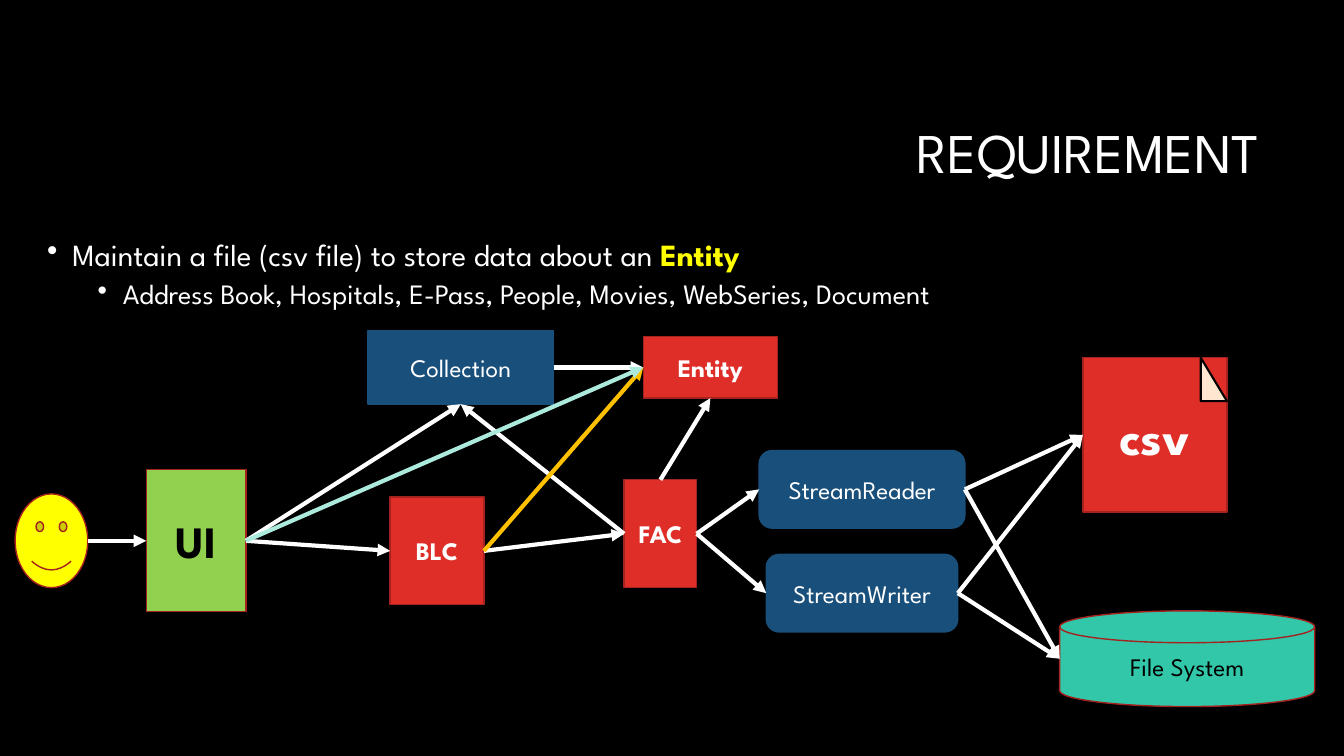
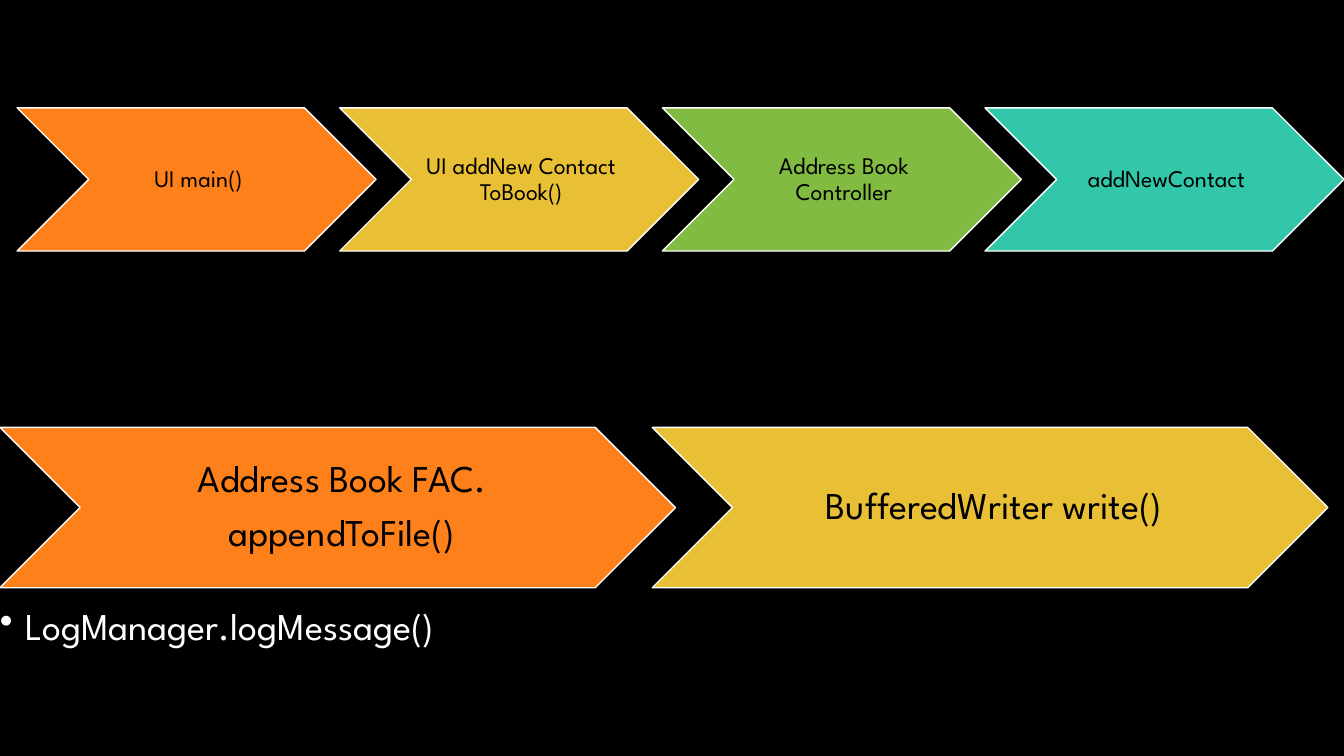
from dataclasses import dataclass

from lxml.etree import SubElement as Sub
from pptx import Presentation
from pptx.dml.color import RGBColor as Rgb
from pptx.enum.shapes import MSO_CONNECTOR as Link, MSO_SHAPE as Form
from pptx.enum.text import MSO_ANCHOR as Anchor, MSO_AUTO_SIZE as Fit, PP_ALIGN as Align
from pptx.oxml.ns import qn
from pptx.util import Inches, Pt


@dataclass(frozen=True)
class Theme:
    font: str = "League Spartan"
    black: str = "000000"
    white: str = "FFFFFF"
    red: str = "DF2E28"
    edge: str = "A5221E"
    blue: str = "184F7B"
    teal: str = "32C7A9"
    green: str = "92D050"
    leaf: str = "81BB42"
    flame: str = "FE801A"
    gold: str = "E9BF35"
    amber: str = "FFC000"
    mint: str = "ACEADD"
    yellow: str = "FFFF00"
    cream: str = "FFE6D1"
    title: int = 40
    file: int = 36
    head: int = 32
    large: int = 27
    lead: int = 22
    sub: int = 20
    label: int = 18
    step: int = 17


T = Theme()
SITES = {"top": (0, 0.5, 0), "left": (1, 0, 0.5), "bottom": (2, 0.5, 1), "right": (3, 1, 0.5)}
GLUED = (Form.RECTANGLE, Form.ROUNDED_RECTANGLE)


def apply(item, form):
    for name, value in form.items():
        setattr(item, name, value)


def place(at):
    return [Inches(n) for n in at]


class Deck:
    """Draw styled elements on the current slide."""

    def __init__(self):
        self.prs = Presentation()
        apply(self.prs, {"slide_width": Inches(13.33), "slide_height": Inches(7.5)})
        fill = self.prs.slide_master.background.fill
        fill.solid()
        fill.fore_color.rgb = Rgb.from_string(T.black)
        self.slide = None

    def add(self, title=None, at=None):
        layout = self.prs.slide_layouts[6 if title is None else 5]
        self.slide = self.prs.slides.add_slide(layout)
        if title is not None:
            head = self.slide.shapes.title
            apply(head, dict(zip(("left", "top", "width", "height"), place(at))))
            self.text(head, [[(title, T.white, False)]], T.title, align=Align.RIGHT)

    def text(self, shape, lines, *sizes, align=Align.CENTER, anchor=Anchor.MIDDLE,
             pad=(0.1, 0.05, 0.1, 0.05), form=None):
        frame = shape.text_frame
        sides = ("margin_left", "margin_top", "margin_right", "margin_bottom")
        apply(frame, {"word_wrap": True, "auto_size": Fit.NONE, "vertical_anchor": anchor,
                      **dict(zip(sides, place(pad)))})
        for i, runs in enumerate(lines):
            para = frame.add_paragraph() if i else frame.paragraphs[0]
            apply(para, {"alignment": align, "line_spacing": 0.9, **(form or {})})
            size = sizes[min(i, len(sizes) - 1)]
            for words, color, bold in runs:
                run = para.add_run()
                run.text = words
                apply(run.font, {"name": T.font, "size": Pt(size), "bold": bold})
                run.font.color.rgb = Rgb.from_string(color)

    def shape(self, kind, at, fill, edge, width=1):
        item = self.slide.shapes.add_shape(kind, *place(at))
        item.shadow.inherit = False
        item.fill.solid()
        item.fill.fore_color.rgb = Rgb.from_string(fill)
        item.line.color.rgb = Rgb.from_string(edge)
        item.line.width = Pt(width)
        return item

    def box(self, kind, at, fill, edge, words, size, color=T.white, bold=False):
        item = self.shape(kind, at, fill, edge)
        if words:
            self.text(item, [[(words, color, bold)]], size, form={"line_spacing": 1.0})
        return item

    def chevron(self, at, fill, lines, size, pad):
        item = self.shape(Form.CHEVRON, at, fill, T.white)
        self.text(item, [[(words, T.black, False)] for words in lines], size,
                  pad=(pad * 3, pad, pad, pad), form={"space_after": Pt(size * 0.35)})

    def bullets(self, at, lines, sizes, indents, gaps, pad):
        item = self.slide.shapes.add_textbox(*place(at))
        self.text(item, lines, *sizes, align=Align.LEFT, anchor=Anchor.TOP, pad=pad)
        nodes = item.element.txBody.findall(qn("a:p"))
        for para, node, left, gap in zip(item.text_frame.paragraphs, nodes, indents, gaps):
            para.space_before = Pt(gap)
            props = node.get_or_add_pPr()
            props.set("marL", str(Inches(left)))
            props.set("indent", str(Inches(-0.25)))
            Sub(props, qn("a:buChar"), char="•")

    def arrow(self, start, side, end, stop, color=T.white):
        ends = []
        for item, name in ((start, side), (end, stop)):
            _, across, down = SITES[name]
            ends += [int(item.left + item.width * across), int(item.top + item.height * down)]
        link = self.slide.shapes.add_connector(Link.STRAIGHT, *ends)
        if start.auto_shape_type in GLUED:
            link.begin_connect(start, SITES[side][0])
        if end.auto_shape_type in GLUED:
            link.end_connect(end, SITES[stop][0])
        link.line.color.rgb = Rgb.from_string(color)
        link.line.width = Pt(3)
        props = link.element.spPr
        Sub(props.find(qn("a:ln")), qn("a:tailEnd"), type="triangle")
        Sub(props, qn("a:effectLst"))


def design(deck):
    deck.add("REQUIREMENT", (3.17, 0.84, 9.42, 1.41))
    deck.bullets(
        (0.37, 2.33, 11.83, 1.06),
        [[("Maintain a file (csv file) to store data about an ", T.white, False),
          ("Entity", T.yellow, True)],
         [("Address Book, Hospitals, E-Pass, People, Movies, WebSeries, Document",
           T.white, False)]],
        (T.lead, T.sub), (0.25, 0.75), (10, 5), (0.1, 0.05, 0.1, 0.05))

    rect, plate = Form.RECTANGLE, Form.ROUNDED_RECTANGLE
    red, blue = (T.red, T.edge), (T.blue, T.blue)
    bold = (T.white, True)
    parts = {
        "csv": (rect, (10.74, 3.55, 1.43, 1.53), *red, "csv", T.file, *bold),
        "disk": (Form.FLOWCHART_MAGNETIC_DISK, (10.51, 6.06, 2.53, 0.95), T.teal, T.edge,
                 "File System", T.label, T.black),
        "reader": (plate, (7.53, 4.47, 2.04, 0.77), *blue, "StreamReader", T.label),
        "writer": (plate, (7.6, 5.5, 1.9, 0.77), *blue, "StreamWriter", T.label),
        "user": (Form.SMILEY_FACE, (0.15, 4.9, 0.72, 0.93), T.yellow, T.edge, "", T.label),
        "ui": (rect, (1.45, 4.66, 0.99, 1.41), T.green, T.edge, "UI", T.head, T.black, True),
        "list": (rect, (3.65, 3.28, 1.84, 0.73), *blue, "Collection", T.label),
        "fac": (rect, (6.19, 4.76, 0.72, 1.07), *red, "FAC", T.label, *bold),
        "blc": (rect, (3.87, 4.93, 0.93, 1.07), *red, "BLC", T.label, *bold),
        "entity": (rect, (6.38, 3.34, 1.33, 0.61), *red, "Entity", T.label, *bold),
    }
    nodes = {name: deck.box(*part) for name, part in parts.items()}
    deck.shape(Form.RIGHT_TRIANGLE, (11.91, 3.55, 0.26, 0.43), T.cream, T.black, 1.5)

    for start, side, end, stop, *color in (
            ("reader", "right", "csv", "left"),
            ("reader", "right", "disk", "left"),
            ("writer", "right", "disk", "left"),
            ("writer", "right", "csv", "left"),
            ("ui", "right", "list", "bottom"),
            ("user", "right", "ui", "left"),
            ("fac", "right", "reader", "left"),
            ("fac", "right", "writer", "left"),
            ("fac", "left", "list", "bottom"),
            ("ui", "right", "blc", "left"),
            ("blc", "right", "fac", "left"),
            ("list", "right", "entity", "left"),
            ("fac", "top", "entity", "bottom"),
            ("blc", "right", "entity", "left", T.amber),
            ("ui", "right", "entity", "left", T.mint)):
        deck.arrow(nodes[start], side, nodes[end], stop, *color)


def flow(deck):
    deck.add()
    tints = (T.flame, T.gold, T.leaf, T.teal)
    calls = ("UI main()", "UI addNew Contact ToBook()", "Address Book Controller",
             "addNewContact")
    for i, (words, tint) in enumerate(zip(calls, tints)):
        deck.chevron((0.17 + 3.2 * i, 1.07, 3.56, 1.42), tint, [words], T.step, 0.02)
    saves = (("Address Book FAC.", "appendToFile()"), ("BufferedWriter write()",))
    for i, (lines, tint) in enumerate(zip(saves, tints)):
        deck.chevron((6.47 * i, 4.24, 6.7, 1.59), tint, lines, T.large, 0.04)
    deck.bullets((0, 6.03, 5.36, 0.53), [[("LogManager.logMessage()", T.white, False)]],
                 (T.large,), (0.25,), (0,), (0, 0, 0, 0))


def main():
    deck = Deck()
    design(deck)
    flow(deck)
    deck.prs.save("out.pptx")


if __name__ == "__main__":
    main()
